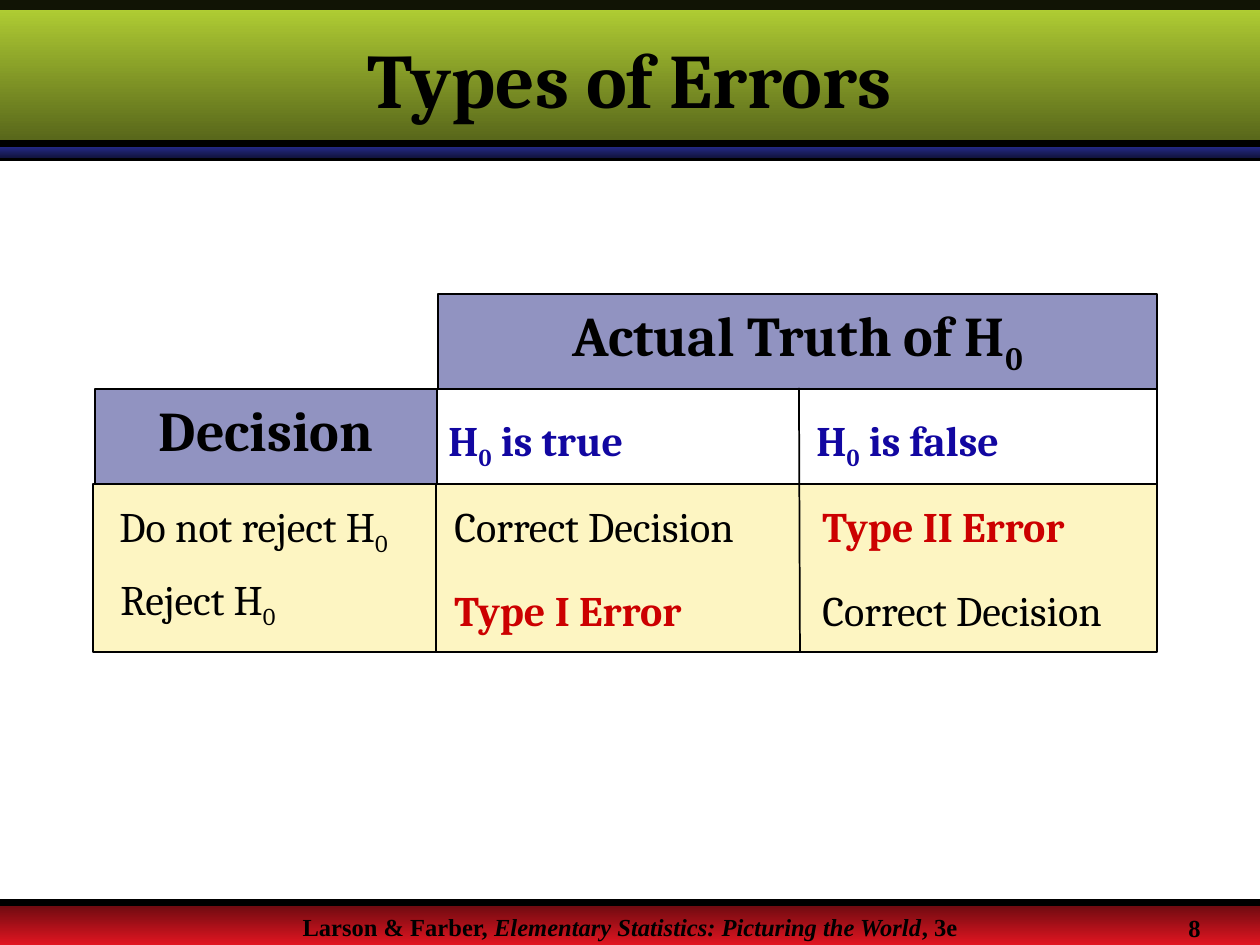
from lxml.etree import SubElement
from pptx import Presentation
from pptx.dml.color import RGBColor
from pptx.enum.shapes import MSO_CONNECTOR, MSO_SHAPE
from pptx.enum.text import MSO_ANCHOR, PP_ALIGN
from pptx.oxml.ns import qn
from pptx.util import Emu, Pt

PX = 914400 / 126
WIDTH, HEIGHT = 1260, 945

BLACK = RGBColor(0, 0, 0)
NAVY = RGBColor(0x24, 0x29, 0x85)
DARK_NAVY = RGBColor(0x11, 0x13, 0x3E)
LIME = RGBColor(0xB5, 0xD3, 0x35)
OLIVE = RGBColor(0x54, 0x62, 0x19)
MAROON = RGBColor(0x68, 0x0A, 0x0F)
RED = RGBColor(0xE1, 0x15, 0x21)
YELLOW = RGBColor(0xFB, 0xE1, 0x36)
BLUE_TEXT = RGBColor(0x12, 0x07, 0xA1)
RED_TEXT = RGBColor(0xCC, 0, 0)

TITLE = "Types of Errors"
FOOTER = [("Larson & Farber, ", ""),
          ("Elementary Statistics: Picturing the World", "italic"),
          (", 3e", "")]
PAGE_NUMBER = [("8", "")]

BANDS = [(903, 42, MAROON, RED), (147, 11, NAVY, DARK_NAVY), (0, 147, LIME, OLIVE)]

LEFT, DECISION, TRUE, FALSE, RIGHT = 93, 95, 437, 800, 1157
TOP, HEADS, BODY, BOTTOM = 294, 389, 484, 652

HEADERS = [
    ((438, TOP, RIGHT - 438, HEADS - TOP),
     [("Actual Truth of H", ""), ("0", "sub")]),
    ((DECISION, HEADS, TRUE - DECISION, BODY - HEADS), [("Decision", "")]),
]
LABELS = [
    ((436, 408, 231, 71), [("H", ""), ("0", "sub"), (" is true", "")], BLUE_TEXT, True),
    ((804, 408, 239, 71), [("H", ""), ("0", "sub"), (" is false", "")], BLUE_TEXT, True),
    ((107, 494, 360, 71), [("Do not reject H", ""), ("0", "sub")], BLACK, False),
    ((108, 567, 205, 71), [("Reject H", ""), ("0", "sub")], BLACK, False),
    ((442, 494, 357, 63), [("Correct Decision", "")], BLACK, False),
    ((442, 578, 336, 63), [("Type I Error", "")], RED_TEXT, True),
    ((810, 494, 346, 63), [("Type II Error", "")], RED_TEXT, True),
    ((810, 578, 357, 63), [("Correct Decision", "")], BLACK, False),
]
GRID_LINES = [
    ((FALSE, BOTTOM, FALSE - 1, HEADS - 1), 1),
    ((TRUE - 1, BODY, TRUE - 1, BOTTOM), 0.75),
    ((RIGHT, HEADS, RIGHT, BODY), 0.75),
]


def emu(lengths):
    return [Emu(round(length * PX)) for length in lengths]


def write(box, spans, size, color=BLACK, bold=True, font="Cambria", align=None):
    para = box.text_frame.paragraphs[0]
    para.alignment = align
    para.font.name = font
    para.font.size = Pt(size)
    para.font.bold = bold
    para.font.color.rgb = color
    for text, style in spans:
        span = para.add_run()
        span.text = text
        if style == "italic":
            span.font.italic = True
        elif style == "sub":
            span.font._element.set("baseline", "-25000")


def add_label(page, place, spans, size, **style):
    box = page.shapes.add_textbox(*emu(place))
    box.text_frame.word_wrap = True
    write(box, spans, size, **style)


def add_block(page, place, color, opacity, outlined=True):
    block = page.shapes.add_shape(MSO_SHAPE.RECTANGLE, *emu(place))
    block.shadow.inherit = False
    block.fill.solid()
    block.fill.fore_color.rgb = color
    fill = block._element.spPr.find(qn("a:solidFill"))
    SubElement(fill[0], qn("a:alpha")).set("val", str(opacity * 1000))
    if outlined:
        block.line.color.rgb = BLACK
        block.line.width = Pt(0.75)
    else:
        block.line.fill.background()
    block.text_frame.vertical_anchor = MSO_ANCHOR.TOP
    return block


def add_band(page, top, height, start, end):
    band = page.shapes.add_shape(MSO_SHAPE.RECTANGLE, *emu((0, top, WIDTH, height)))
    band.shadow.inherit = False
    band.line.fill.background()
    band.fill.gradient()
    band.fill.gradient_angle = 270
    for stop, position, color in zip(band.fill.gradient_stops, (0, 1), (start, end)):
        stop.position = position
        stop.color.rgb = color


def add_line(page, ends, width):
    line = page.shapes.add_connector(MSO_CONNECTOR.STRAIGHT, *emu(ends))
    line.line.color.rgb = BLACK
    line.line.width = Pt(width)
    SubElement(line._element.spPr, qn("a:effectLst"))


def add_rule(page, y):
    add_line(page, (0, y, WIDTH, y), 4)


def add_frame(page):
    add_rule(page, 158)
    for band in BANDS:
        add_band(page, *band)
    add_rule(page, 903)
    add_block(page, (0, 0, WIDTH, 10), BLACK, 90, outlined=False)
    add_rule(page, 144)
    add_label(page, (0, 906, WIDTH, 25), FOOTER, 14,
              font="Times New Roman", align=PP_ALIGN.CENTER)
    add_label(page, (1176, 907, 80, 38), PAGE_NUMBER, 14, font="Times New Roman")


def add_title(page):
    title = page.shapes.title
    title.left, title.top, title.width, title.height = emu((0, 10, WIDTH, 136))
    title.text_frame.vertical_anchor = MSO_ANCHOR.MIDDLE
    write(title, [(TITLE, "")], 44, align=PP_ALIGN.CENTER)
    title._element.getparent().append(title._element)


def add_error_grid(page):
    add_block(page, (LEFT, BODY, RIGHT - LEFT, BOTTOM - BODY), YELLOW, 30)
    for place, spans in HEADERS:
        write(add_block(page, place, NAVY, 50), spans, 32, align=PP_ALIGN.CENTER)
    for place, spans, color, bold in LABELS:
        add_label(page, place, spans, 24, color=color, bold=bold)
    for ends, width in GRID_LINES:
        add_line(page, ends, width)


def main():
    deck = Presentation()
    deck.slide_width, deck.slide_height = emu((WIDTH, HEIGHT))
    page = deck.slides.add_slide(deck.slide_layouts[5])
    add_frame(page)
    add_title(page)
    add_error_grid(page)
    deck.save("out.pptx")


if __name__ == "__main__":
    main()
